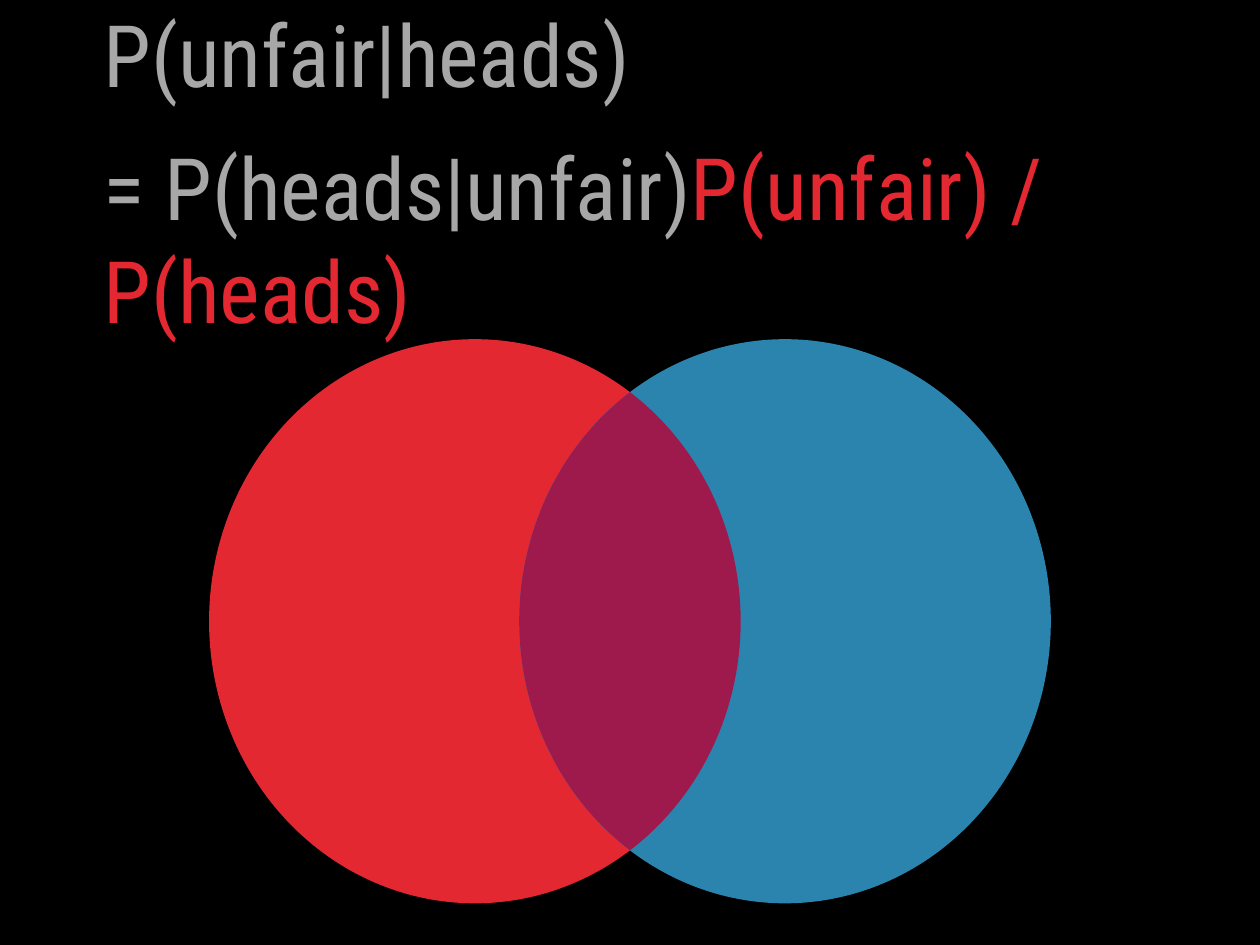
from dataclasses import dataclass
from math import acos, cos, sin

from pptx import Presentation
from pptx.dml.color import RGBColor
from pptx.enum.shapes import MSO_SHAPE
from pptx.enum.text import MSO_ANCHOR, MSO_AUTO_SIZE, PP_ALIGN
from pptx.util import Inches, Pt

OVAL = MSO_SHAPE.OVAL
MIDDLE = MSO_ANCHOR.MIDDLE
GROW = MSO_AUTO_SIZE.SHAPE_TO_FIT_TEXT
LEFT = PP_ALIGN.LEFT
TITLE_ONLY = 5

CIRCLE_TOP = 3.83
CIRCLE_WIDTH = 6
CIRCLE_HEIGHT = 6.37
UNFAIR_LEFT = 2.36
HEADS_LEFT = 5.86
ARC_STEPS = 60


@dataclass(frozen=True)
class Theme:
    background: RGBColor = RGBColor.from_string("000000")
    text: RGBColor = RGBColor.from_string("A7A7A7")
    unfair: RGBColor = RGBColor.from_string("E42832")
    heads: RGBColor = RGBColor.from_string("2A84AE")
    overlap: RGBColor = RGBColor.from_string("9E1A4D")
    font: str = "Roboto Condensed"
    size: Pt = Pt(70)
    spacing: Pt = Pt(24)


THEME = Theme()


def paint(shape, color):
    shape.shadow.inherit = False
    shape.fill.solid()
    shape.fill.fore_color.rgb = color
    shape.line.fill.background()


def add_circle(slide, left, color):
    circle = slide.shapes.add_shape(
        OVAL, Inches(left), Inches(CIRCLE_TOP),
        Inches(CIRCLE_WIDTH), Inches(CIRCLE_HEIGHT))
    paint(circle, color)


def add_overlap(slide):
    radius_x, radius_y = CIRCLE_WIDTH / 2, CIRCLE_HEIGHT / 2
    half_distance = (HEADS_LEFT - UNFAIR_LEFT) / 2
    center_x = UNFAIR_LEFT + radius_x + half_distance
    center_y = CIRCLE_TOP + radius_y
    limit = acos(half_distance / radius_x)
    points = []
    for side in (1, -1):
        for step in range(ARC_STEPS):
            angle = limit * (2 * step / ARC_STEPS - 1)
            x = center_x + side * (radius_x * cos(angle) - half_distance)
            y = center_y + side * radius_y * sin(angle)
            points.append((Inches(x), Inches(y)))
    builder = slide.shapes.build_freeform(*points[0])
    builder.add_line_segments(points[1:], close=True)
    paint(builder.convert_to_shape(), THEME.overlap)


def format_formula(title, lines):
    title.left, title.top = Inches(1.11), Inches(0.64)
    title.width, title.height = Inches(11.37), Inches(2.58)
    frame = title.text_frame
    frame.word_wrap = True
    frame.auto_size = GROW
    frame.vertical_anchor = MIDDLE
    frame.margin_left = frame.margin_right = Inches(0.06)
    frame.margin_top = frame.margin_bottom = Inches(0.06)
    for index, line in enumerate(lines):
        paragraph = frame.add_paragraph() if index else frame.paragraphs[0]
        paragraph.alignment = LEFT
        paragraph.space_before = THEME.spacing
        paragraph.font.name = THEME.font
        paragraph.font.size = THEME.size
        for text, color in line:
            run = paragraph.add_run()
            run.text = text
            run.font.color.rgb = color


def main():
    presentation = Presentation()
    presentation.slide_width = Inches(14.22)
    presentation.slide_height = Inches(10.67)
    slide = presentation.slides.add_slide(presentation.slide_layouts[TITLE_ONLY])
    slide.background.fill.solid()
    slide.background.fill.fore_color.rgb = THEME.background

    format_formula(slide.shapes.title, [
        [("P(unfair|heads)", THEME.text)],
        [("= P(heads|unfair)", THEME.text),
         ("P(unfair) / P(heads)", THEME.unfair)],
    ])
    add_circle(slide, UNFAIR_LEFT, THEME.unfair)
    add_circle(slide, HEADS_LEFT, THEME.heads)
    add_overlap(slide)
    presentation.save("out.pptx")


if __name__ == "__main__":
    main()
